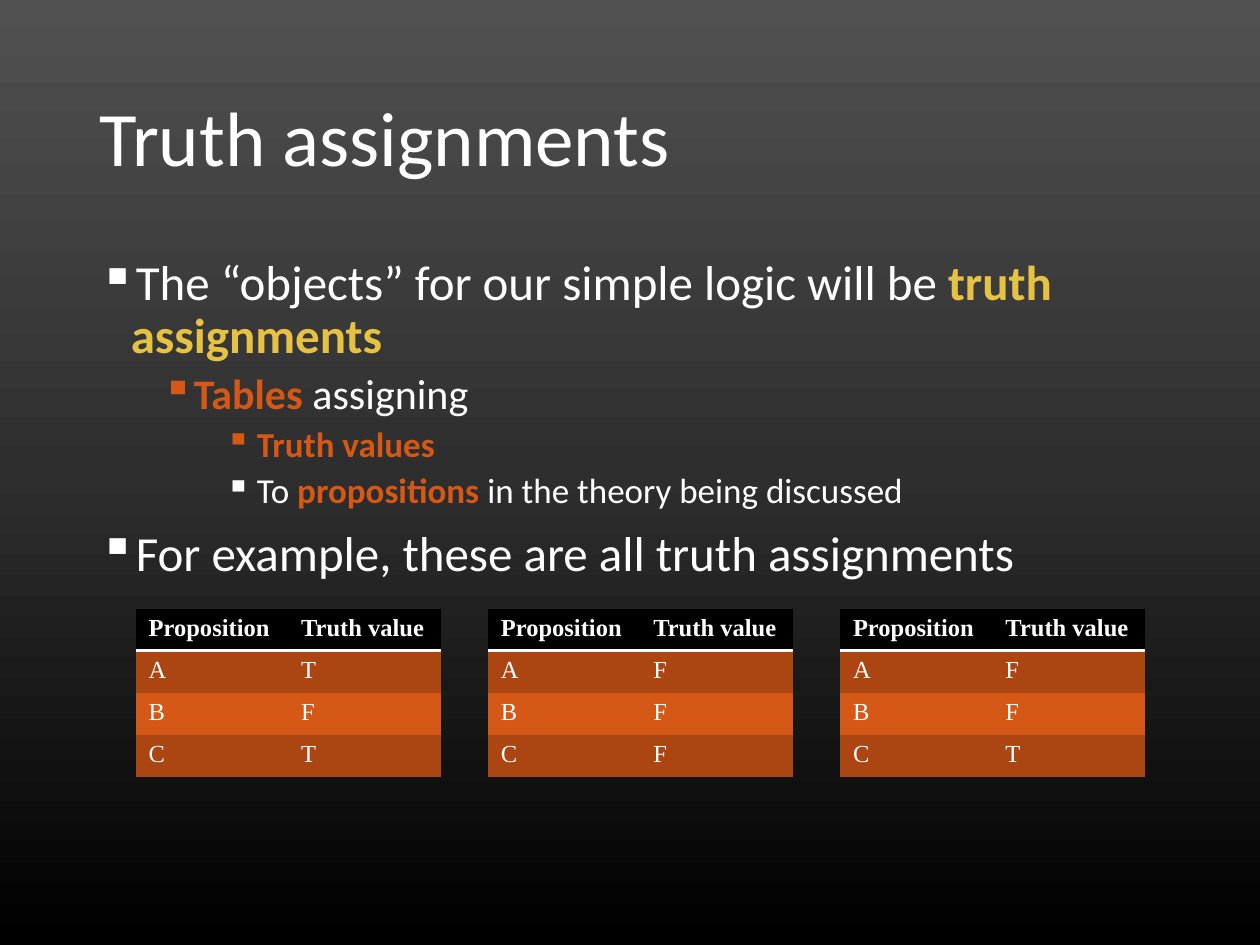
from pptx import Presentation
from pptx.dml.color import RGBColor
from pptx.enum.text import MSO_ANCHOR
from pptx.oxml import parse_xml
from pptx.oxml.ns import qn, nsdecls
from pptx.util import Inches, Pt
from lxml.etree import SubElement

# Content: paragraphs are (level, runs), runs are (text, colour)
TITLE = "Truth assignments"
BODY = [
    (0, [("The “objects” for our simple logic will be ", "text"),
         ("truth assignments", "gold")]),
    (1, [("Tables ", "accent"), ("assigning", "text")]),
    (2, [("Truth values", "accent")]),
    (2, [("To ", "text"), ("propositions", "accent"),
         (" in the theory being discussed", "text")]),
    (0, [("For example, these are all truth assignments", "text")]),
]
HEADS = ("Proposition", "Truth value")
NAMES = "ABC"
VALUES = ["TFT", "FFF", "FFT"]

THEME = {
    "text": "FFFFFF", "gold": "E5C243", "accent": "D55816",
    "band": "AB4612", "head": "000000",
    "back": [(0, "515151"), (50, "2E2E2E"), (100, "000000")],
    "font": "Calibri", "serif": "Times New Roman",
    "title": 44, "levels": (28, 24, 20), "cell": 14,
}
NO_STYLE = "{2D5ABB26-0587-4C30-8999-92F81FD0307C}"

# Layout in inches
LEFT, WIDTH = 0.69, 8.62
GRID_X, GRID_Y, STEP = 1.08, 4.83, 2.795
COL, ROW = 1.21, 0.333


def add_run(para, text, size, color="text", bold=False, font="font"):
    run = para.add_run()
    run.text = text
    run.font.name = THEME[font]
    run.font.size = Pt(size)
    run.font.bold = bold
    run.font.color.rgb = RGBColor.from_string(THEME[color])


def add_box(slide, top, height, anchor):
    box = slide.shapes.add_textbox(
        Inches(LEFT), Inches(top), Inches(WIDTH), Inches(height))
    frame = box.text_frame
    frame.word_wrap = True
    frame.vertical_anchor = anchor
    return frame


def add_bullet(para, level):
    para.level = level
    para.line_spacing = 0.9
    para.space_before = Pt(5 if level else 10)
    props = para._p.get_or_add_pPr()
    props.set("marL", str(Inches(0.25 + 0.5 * level)))
    props.set("indent", str(Inches(-0.25)))
    SubElement(props, qn("a:buChar")).set("char", "▪")


def add_rule(cell):
    cell._tc.get_or_add_tcPr().insert(0, parse_xml(
        f'<a:lnB {nsdecls("a")} w="{Pt(2)}"><a:solidFill>'
        f'<a:srgbClr val="{THEME["text"]}"/></a:solidFill></a:lnB>'))


def add_grid(slide, left, values):
    rows = [HEADS, *zip(NAMES, values)]
    table = slide.shapes.add_table(
        len(rows), len(HEADS), Inches(left), Inches(GRID_Y),
        Inches(COL * len(HEADS)), Inches(ROW * len(rows))).table
    table._tbl.tblPr.find(qn("a:tableStyleId")).text = NO_STYLE
    for r, row in enumerate(rows):
        shade = "head" if r == 0 else "band" if r % 2 else "accent"
        for c, text in enumerate(row):
            cell = table.cell(r, c)
            cell.fill.solid()
            cell.fill.fore_color.rgb = RGBColor.from_string(THEME[shade])
            add_run(cell.text_frame.paragraphs[0], text, THEME["cell"],
                    bold=r == 0, font="serif")
            if r == 0:
                add_rule(cell)


def set_back(slide):
    fill = slide.background.fill
    fill.gradient()
    fill.gradient_angle = 270
    stops = next(slide._element.iter(qn("a:gsLst")))
    for stop in list(stops):
        stops.remove(stop)
    for place, color in THEME["back"]:
        stop = SubElement(stops, qn("a:gs"))
        stop.set("pos", str(place * 1000))
        SubElement(stop, qn("a:srgbClr")).set("val", color)


def main():
    deck = Presentation()
    deck.slide_width, deck.slide_height = Inches(10), Inches(7.5)
    slide = deck.slides.add_slide(deck.slide_layouts[6])
    set_back(slide)

    # Title
    para = add_box(slide, 0.4, 1.45, MSO_ANCHOR.MIDDLE).paragraphs[0]
    para.line_spacing = 0.9
    add_run(para, TITLE, THEME["title"])

    # Bullets
    frame = add_box(slide, 2, 4.76, MSO_ANCHOR.TOP)
    for i, (level, runs) in enumerate(BODY):
        para = frame.add_paragraph() if i else frame.paragraphs[0]
        add_bullet(para, level)
        for text, color in runs:
            add_run(para, text, THEME["levels"][level], color,
                    bold=color != "text")

    # Truth tables
    for i, values in enumerate(VALUES):
        add_grid(slide, GRID_X + i * STEP, values)

    deck.save("out.pptx")


if __name__ == "__main__":
    main()
